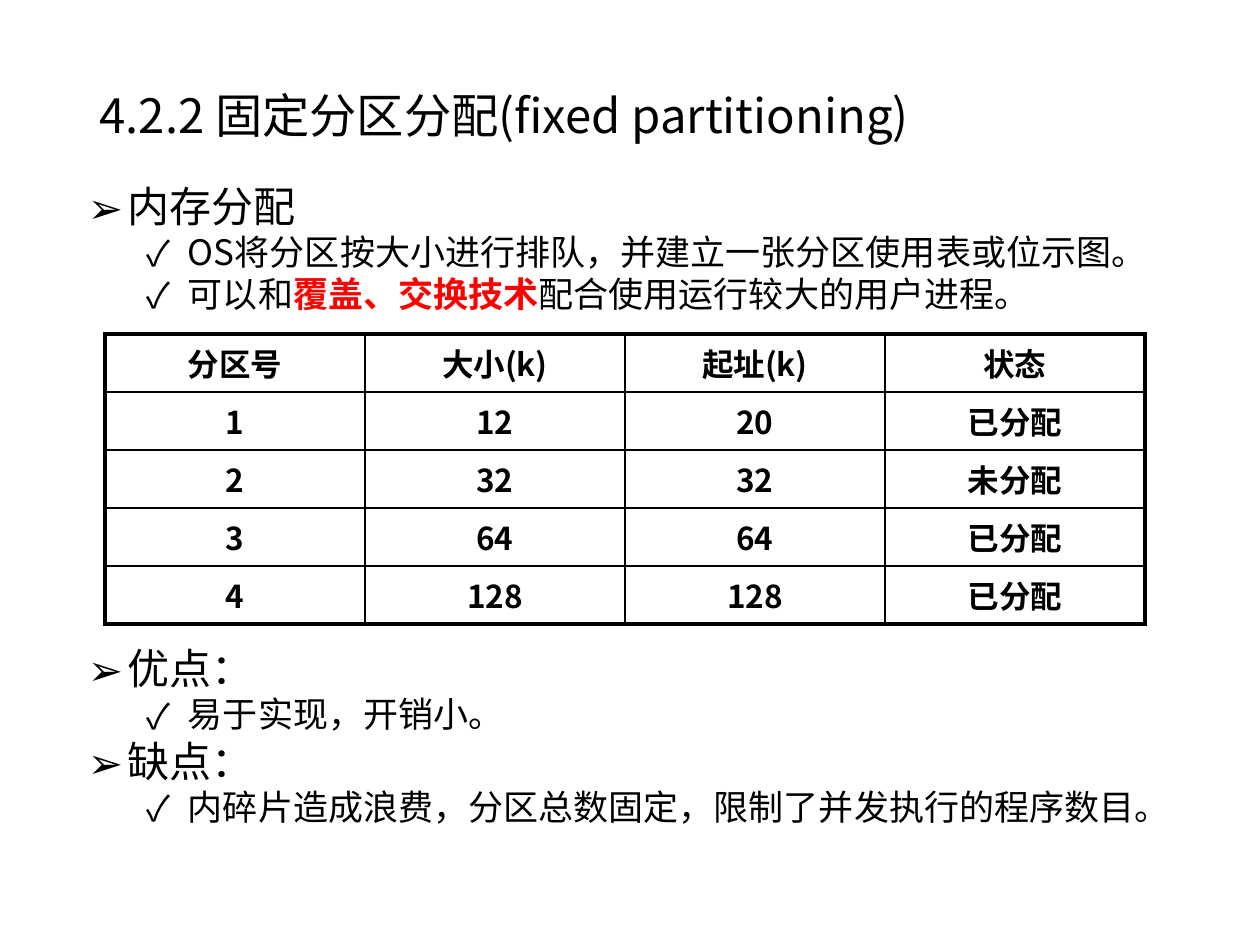
from lxml.etree import SubElement
from pptx import Presentation
from pptx.dml.color import RGBColor
from pptx.enum.text import MSO_ANCHOR as Anchor, PP_ALIGN as Align
from pptx.oxml.ns import qn
from pptx.util import Pt

PX = 914400 // 126
FONT = "Noto Sans CJK SC"
COLORS = {"text": "000000", "accent": "FF0000", "paper": "FFFFFF"}
LEVELS = {
    "topic": {"bullet": "➢", "size": 24, "line": 29, "margin": 40, "hang": 40},
    "detail": {"bullet": "✓", "size": 20, "line": 24, "margin": 100, "hang": 41},
}
ALLOCATION = [
    ("topic", ["内存分配"]),
    ("detail", ["OS将分区按大小进行排队，并建立一张分区使用表或位示图。"]),
    ("detail", ["可以和", "覆盖、交换技术", "配合使用运行较大的用户进程。"]),
]
EVALUATION = [
    ("topic", ["优点："]),
    ("detail", ["易于实现，开销小。"]),
    ("topic", ["缺点："]),
    ("detail", ["内碎片造成浪费，分区总数固定，限制了并发执行的程序数目。"]),
]
PARTITIONS = [
    ("分区号", "大小(k)", "起址(k)", "状态"),
    ("1", "12", "20", "已分配"),
    ("2", "32", "32", "未分配"),
    ("3", "64", "64", "已分配"),
    ("4", "128", "128", "已分配"),
]


def set_values(target, values):
    """Set each named attribute of the target."""
    for name, value in values.items():
        setattr(target, name, value)


def px(*lengths):
    """Turn pixel lengths into EMU."""
    return [length * PX for length in lengths]


def add_run(paragraph, text, size, color="text", bold=False):
    """Add a run in the slide's font."""
    run = paragraph.add_run()
    run.text = text
    set_values(run.font, {"name": FONT, "size": Pt(size), "bold": bold})
    run.font.color.rgb = RGBColor.from_string(COLORS[color])
    SubElement(run.font._element, qn("a:ea"), typeface=FONT)


def add_title(slide, text):
    """Place and format the title placeholder."""
    title = slide.shapes.title
    set_values(title, dict(zip(("left", "top", "width", "height"), px(87, 50, 1086, 137))))
    set_values(title.text_frame, {"vertical_anchor": Anchor.MIDDLE, "word_wrap": True})
    paragraph = title.text_frame.paragraphs[0]
    set_values(paragraph, {"alignment": Align.LEFT, "line_spacing": 0.9})
    add_run(paragraph, text, 27)


def add_outline(slide, top, height, items):
    """Add a box of bulleted topics and details."""
    frame = slide.shapes.add_textbox(*px(88, top, 1137, height)).text_frame
    margins = ("margin_left", "margin_top", "margin_right", "margin_bottom")
    set_values(frame, {"word_wrap": True, **dict.fromkeys(margins, 0)})
    for index, (level, texts) in enumerate(items):
        style = LEVELS[level]
        paragraph = frame.add_paragraph() if index else frame.paragraphs[0]
        properties = paragraph._p.get_or_add_pPr()
        properties.set("marL", str(style["margin"] * PX))
        properties.set("indent", str(-style["hang"] * PX))
        SubElement(properties, qn("a:buFont"), typeface=FONT)
        SubElement(properties, qn("a:buChar"), char=style["bullet"])
        set_values(paragraph, {"level": int(level == "detail"), "line_spacing": Pt(style["line"])})
        for position, text in enumerate(texts):
            marked = position == 1
            add_run(paragraph, text, style["size"], "accent" if marked else "text", marked)


def add_border(cell, side, width):
    """Draw one solid border of a cell."""
    properties = cell._tc.get_or_add_tcPr()
    line = SubElement(properties, qn(f"a:ln{side}"), w=str(Pt(width)))
    fill = SubElement(line, qn("a:solidFill"))
    SubElement(fill, qn("a:srgbClr"), val=COLORS["text"])


def add_partition_table(slide, rows):
    """Add the partition table with a heavy outer frame."""
    row_count, column_count = len(rows), len(rows[0])
    bounds = px(105, 334, 260 * column_count, 58 * row_count)
    table = slide.shapes.add_table(row_count, column_count, *bounds).table
    set_values(table, {"first_row": False, "horz_banding": False})
    for row, texts in enumerate(rows):
        for column, text in enumerate(texts):
            cell = table.cell(row, column)
            outer = {"L": column == 0, "R": column == column_count - 1,
                     "T": row == 0, "B": row == row_count - 1}
            for side, heavy in outer.items():
                add_border(cell, side, 2.25 if heavy else 1)
            cell.fill.solid()
            cell.fill.fore_color.rgb = RGBColor.from_string(COLORS["paper"])
            paragraph = cell.text_frame.paragraphs[0]
            paragraph.alignment = Align.CENTER
            add_run(paragraph, text, 18, bold=True)


def main():
    """Build and save the slide."""
    presentation = Presentation()
    set_values(presentation, dict(zip(("slide_width", "slide_height"), px(1260, 945))))
    slide = presentation.slides.add_slide(presentation.slide_layouts[5])
    add_title(slide, "4.2.2 固定分区分配(fixed partitioning)")
    add_outline(slide, 180, 136, ALLOCATION)
    add_outline(slide, 642, 186, EVALUATION)
    add_partition_table(slide, PARTITIONS)
    presentation.save("out.pptx")


if __name__ == "__main__":
    main()
